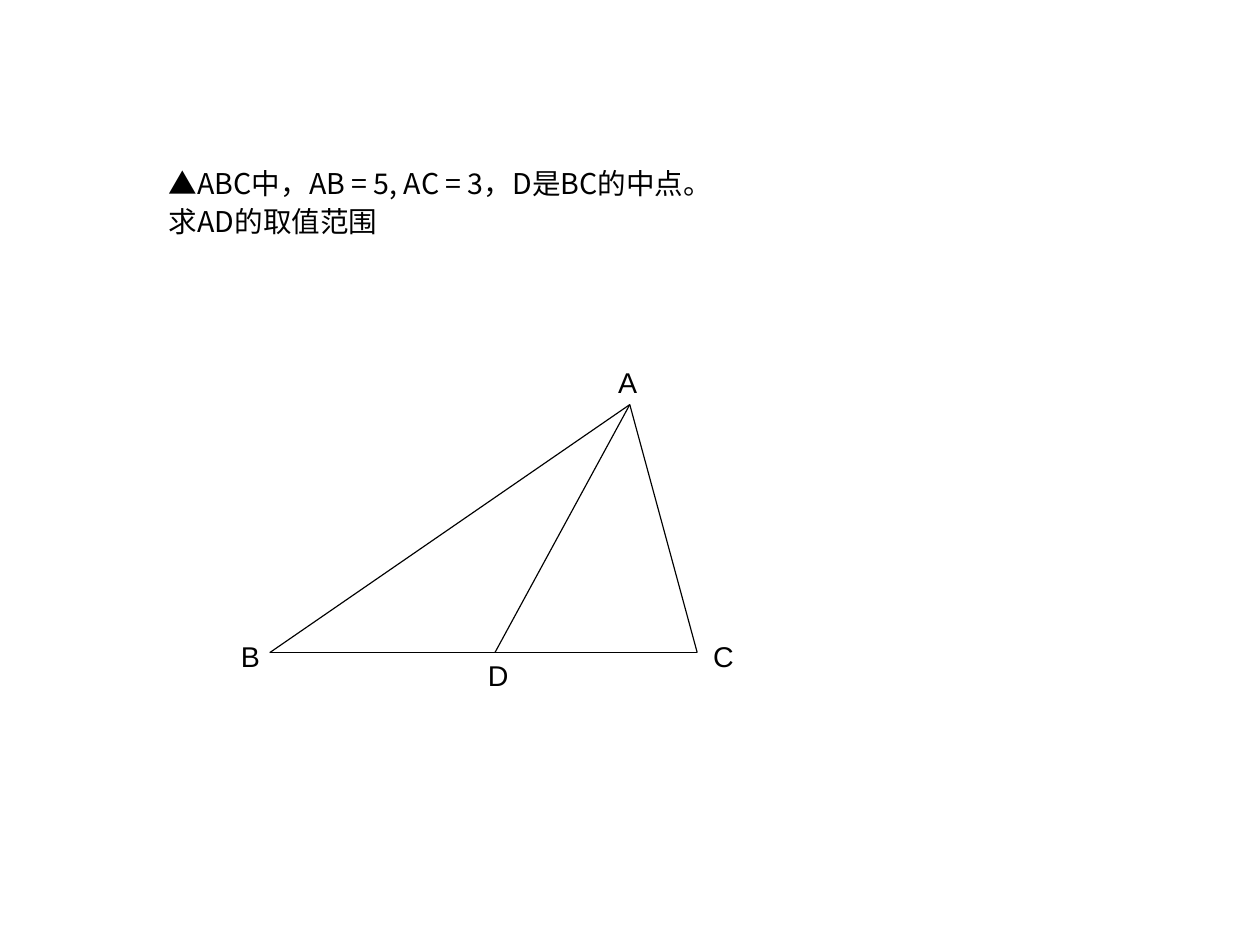
from lxml import etree
from pptx import Presentation
from pptx.dml.color import RGBColor
from pptx.enum.shapes import MSO_CONNECTOR
from pptx.oxml.ns import qn
from pptx.util import Inches, Pt

STRAIGHT = MSO_CONNECTOR.STRAIGHT
COLORS = {"ink": "000000", "paper": "FFFFFF"}
CJK_FONT = "Noto Sans CJK SC"
LABEL_FONT = "Arial"
CM_PER_INCH = 2.54


class GeometrySlide:
    def __init__(self, deck):
        self.slide = deck.slides.add_slide(deck.slide_layouts[6])
        self.ink = RGBColor.from_string(COLORS["ink"])
        background = self.slide.background.fill
        background.solid()
        background.fore_color.rgb = RGBColor.from_string(COLORS["paper"])

    def text(self, content, left, top, width, height, font=LABEL_FONT,
             size=18, spacing=0.93, inset_top=0.07):
        box = self.slide.shapes.add_textbox(
            Inches(left), Inches(top), Inches(width), Inches(height))
        frame = box.text_frame
        frame.word_wrap = False
        frame.margin_top = Inches(inset_top)
        frame.text = content
        for paragraph in frame.paragraphs:
            paragraph.line_spacing = spacing
            for run in paragraph.runs:
                run.font.name = font
                run.font.size = Pt(size)
                run.font.color.rgb = self.ink
                east_asian = etree.SubElement(run.font._element, qn("a:ea"))
                east_asian.set("typeface", font)

    def segment(self, start, end):
        x1, y1, x2, y2 = map(Inches, start + end)
        line = self.slide.shapes.add_connector(STRAIGHT, x1, y1, x2, y2)
        line.line.color.rgb = self.ink
        line.line.width = Pt(0.75)
        etree.SubElement(line._element.spPr, qn("a:effectLst"))


def main():
    deck = Presentation()
    deck.slide_width = Inches(28 / CM_PER_INCH)
    deck.slide_height = Inches(21 / CM_PER_INCH)
    page = GeometrySlide(deck)

    page.text("▲ABC中，AB = 5, AC = 3，D是BC的中点。\n求AD的取值范围",
              1.38, 1.38, 5.26, 0.74, font=CJK_FONT, spacing=1.09,
              inset_top=0.05)

    points = {"A": (5.51, 3.54), "B": (2.36, 5.71),
              "C": (6.1, 5.71), "D": (4.33, 5.71)}
    for start, end in ("AB", "AC", "BC", "AD"):
        page.segment(points[start], points[end])

    labels = {"A": (5.31, 3.15, 0.36), "B": (2.01, 5.55, 0.36),
              "C": (6.14, 5.55, 0.38), "D": (4.17, 5.71, 0.38)}
    for name, (left, top, width) in labels.items():
        page.text(name, left, top, width, 0.38)

    deck.save("out.pptx")


if __name__ == "__main__":
    main()
